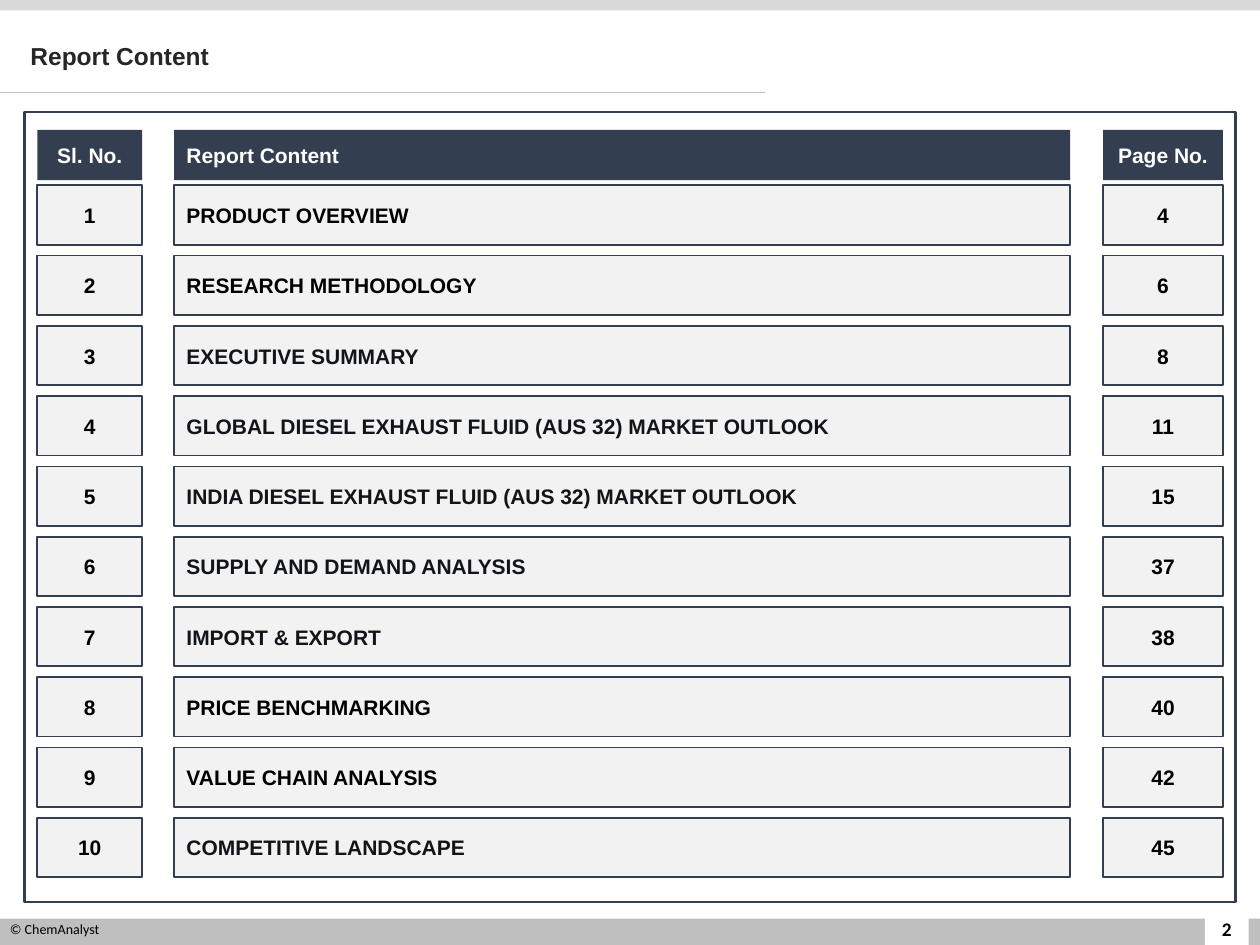
from dataclasses import dataclass

from lxml.etree import SubElement
from pptx import Presentation
from pptx.dml.color import RGBColor
from pptx.enum.shapes import MSO_CONNECTOR, MSO_SHAPE
from pptx.enum.text import MSO_ANCHOR, PP_ALIGN
from pptx.oxml.ns import qn
from pptx.util import Pt


@dataclass(frozen=True)
class Theme:
    navy: str = "333F50"
    cell: str = "F2F2F2"
    band: str = "BFBFBF"
    top_band: str = "D9D9D9"
    title: str = "262626"
    ink: str = "11151A"
    black: str = "000000"
    white: str = "FFFFFF"
    heading_font: str = "Arial"
    footer_font: str = "Calibri"
    title_size: float = 14
    body_size: float = 12
    page_size: float = 11
    footer_size: float = 8


THEME = Theme()
COLUMNS = [
    (21.3, 60, PP_ALIGN.CENTER),
    (99.5, 512, PP_ALIGN.LEFT),
    (630.4, 68.4, PP_ALIGN.CENTER),
]
HEADER = ["Sl. No.", "Report Content", "Page No."]
HEADER_TOP, HEADER_HEIGHT = 74.2, 28.8
FIRST_ROW_TOP, ROW_PITCH, ROW_HEIGHT = 105.9, 40.15, 34
ROWS = [
    ("PRODUCT OVERVIEW", 4, THEME.black),
    ("RESEARCH METHODOLOGY", 6, THEME.black),
    ("EXECUTIVE SUMMARY", 8, THEME.ink),
    ("GLOBAL DIESEL EXHAUST FLUID (AUS 32) MARKET OUTLOOK", 11, THEME.ink),
    ("INDIA DIESEL EXHAUST FLUID (AUS 32) MARKET OUTLOOK", 15, THEME.ink),
    ("SUPPLY AND DEMAND ANALYSIS", 37, THEME.ink),
    ("IMPORT & EXPORT", 38, THEME.ink),
    ("PRICE BENCHMARKING", 40, THEME.black),
    ("VALUE CHAIN ANALYSIS", 42, THEME.black),
    ("COMPETITIVE LANDSCAPE", 45, THEME.ink),
]


def set_values(target, values):
    for name, value in values.items():
        setattr(target, name, value)


def write(shape, text, color, size=THEME.body_size, font=THEME.heading_font,
          bold=True, align=PP_ALIGN.LEFT, anchor=MSO_ANCHOR.MIDDLE, spacing=1.0):
    frame = shape.text_frame
    set_values(frame, {"word_wrap": True, "vertical_anchor": anchor})
    paragraph = frame.paragraphs[0]
    set_values(paragraph, {"text": text, "alignment": align, "line_spacing": spacing})
    run_font = paragraph.runs[0].font
    set_values(run_font, {"name": font, "size": Pt(size), "bold": bold})
    run_font.color.rgb = RGBColor.from_string(color)


def add_box(slide, bounds, fill=None, line=None, width=1):
    shape = slide.shapes.add_shape(MSO_SHAPE.RECTANGLE, *map(Pt, bounds))
    shape.shadow.inherit = False
    if fill:
        shape.fill.solid()
        shape.fill.fore_color.rgb = RGBColor.from_string(fill)
    else:
        shape.fill.background()
    if line:
        shape.line.color.rgb = RGBColor.from_string(line)
        shape.line.width = Pt(width)
    else:
        shape.line.fill.background()
    return shape


def add_label(slide, bounds, text, color, **values):
    write(slide.shapes.add_textbox(*map(Pt, bounds)), text, color, **values)


def add_rule(slide, left, right, top):
    rule = slide.shapes.add_connector(
        MSO_CONNECTOR.STRAIGHT, Pt(left), Pt(top), Pt(right), Pt(top))
    rule.line.color.rgb = RGBColor.from_string(THEME.band)
    rule.line.width = Pt(0.5)
    SubElement(rule.element.spPr, qn("a:effectLst"))


def add_row(slide, top, height, texts, colors, fill, line=None):
    for (left, width, align), text, color in zip(COLUMNS, texts, colors):
        box = add_box(slide, (left, top, width, height), fill, line)
        write(box, str(text), color, align=align)


def add_page_frame(slide):
    add_box(slide, (0, 525, 720, 16), THEME.band)
    add_box(slide, (0, 0, 720, 6), THEME.top_band)
    add_box(slide, (688.5, 513.5, 25, 27), THEME.white)
    add_label(slide, (683.5, 516.5, 35, 28.5), "2", THEME.black, size=THEME.page_size,
              font=THEME.footer_font, align=PP_ALIGN.CENTER)
    add_rule(slide, 0, 437, 53)
    add_label(slide, (-1.5, 522.7, 148, 26.5), "© ChemAnalyst", THEME.black,
              size=THEME.footer_size, font=THEME.footer_font, bold=False,
              anchor=MSO_ANCHOR.TOP)
    add_label(slide, (10.3, 15, 619, 36), "Report Content", THEME.title,
              size=THEME.title_size, spacing=0.9)


def add_contents(slide):
    add_row(slide, HEADER_TOP, HEADER_HEIGHT, HEADER, [THEME.white] * 3, THEME.navy)
    add_box(slide, (14.2, 64, 692, 451.5), line=THEME.navy, width=1.5)
    for index, (topic, page, color) in enumerate(ROWS):
        add_row(slide, FIRST_ROW_TOP + index * ROW_PITCH, ROW_HEIGHT,
                (index + 1, topic, page), (THEME.black, color, THEME.black),
                THEME.cell, THEME.navy)


def main():
    presentation = Presentation()
    set_values(presentation, {"slide_width": Pt(720), "slide_height": Pt(540)})
    slide = presentation.slides.add_slide(presentation.slide_layouts[6])
    add_page_frame(slide)
    add_contents(slide)
    presentation.save("out.pptx")


if __name__ == "__main__":
    main()
